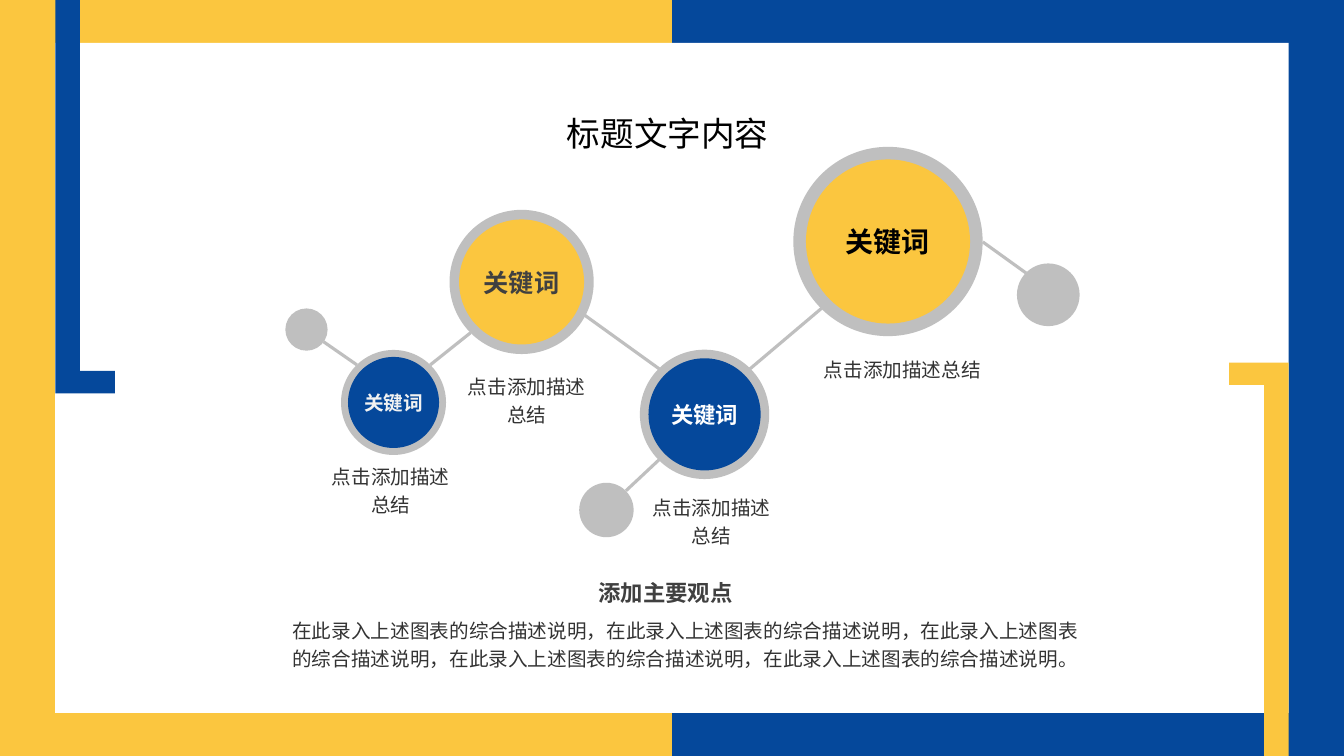
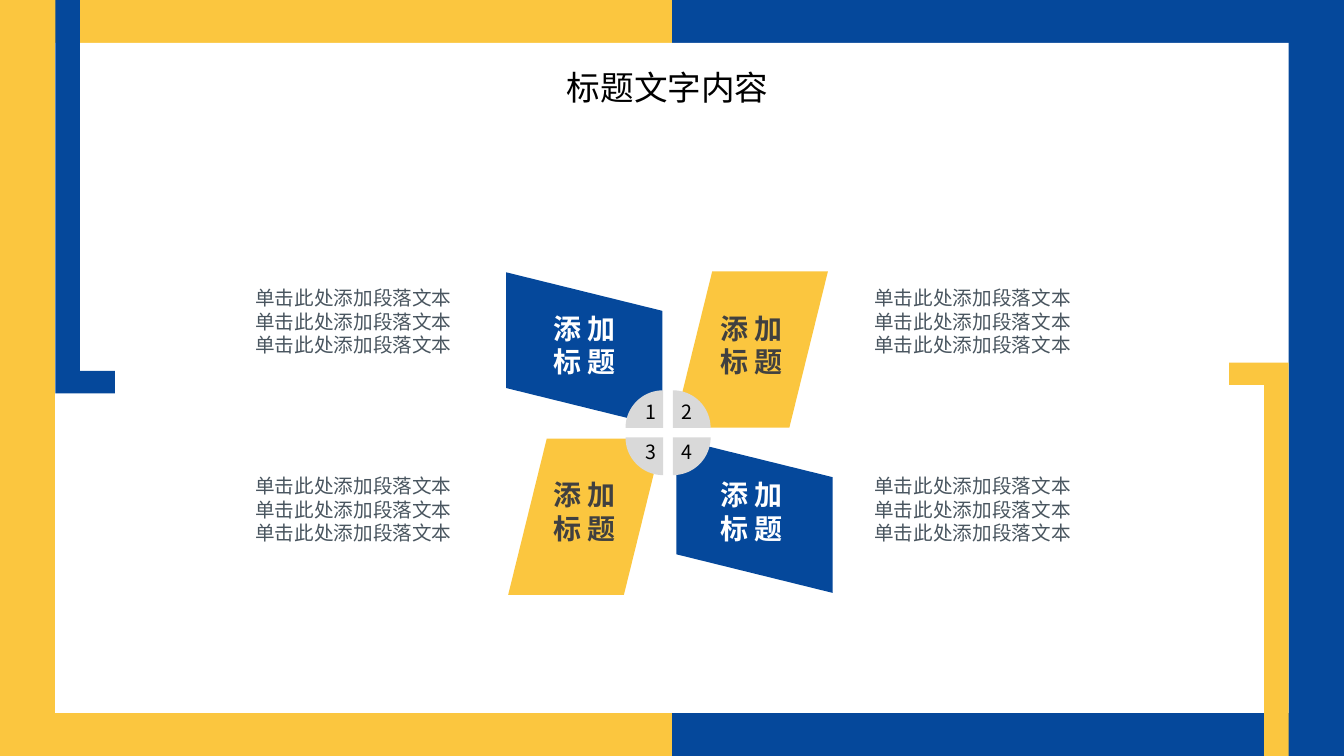
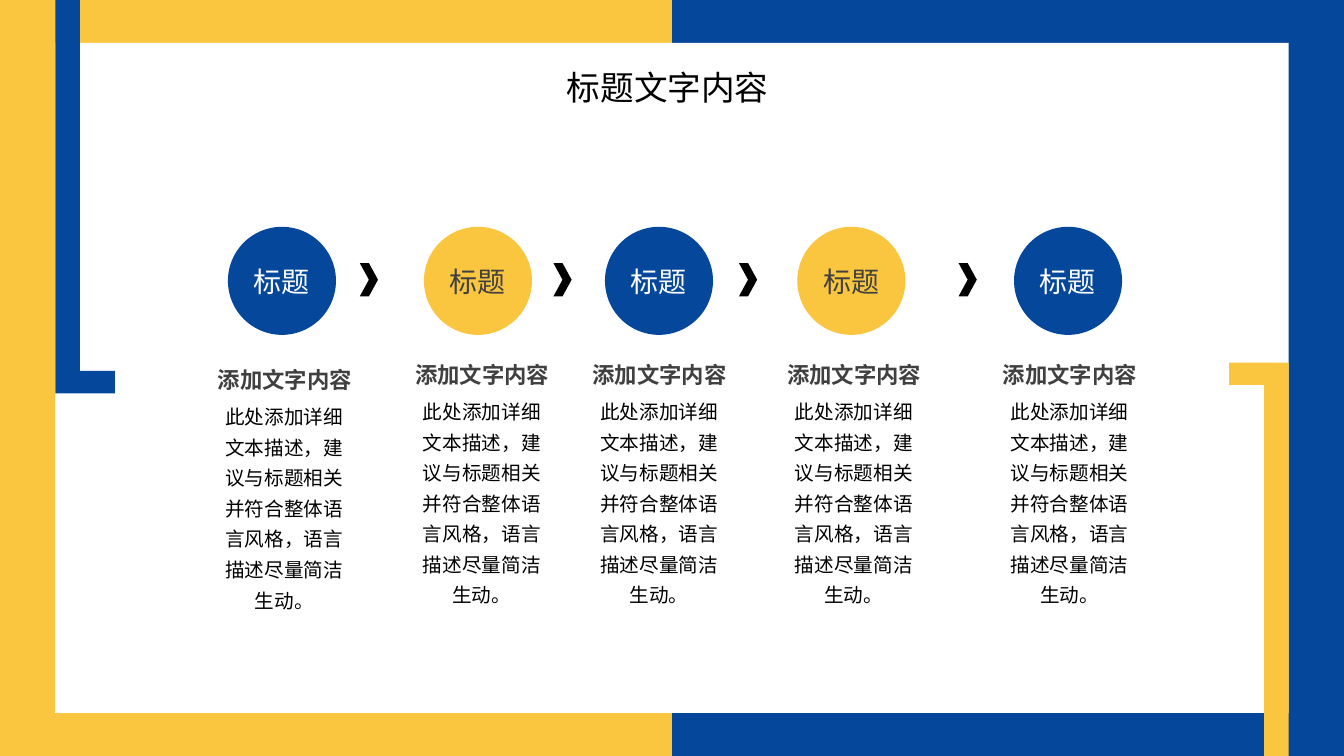
from math import cos, pi, sin

from lxml import etree
from pptx import Presentation
from pptx.dml.color import RGBColor
from pptx.enum.shapes import MSO_CONNECTOR, MSO_SHAPE
from pptx.enum.text import MSO_ANCHOR, PP_ALIGN
from pptx.oxml.ns import qn
from pptx.util import Pt

RECTANGLE = MSO_SHAPE.RECTANGLE
ELLIPSE = MSO_SHAPE.OVAL
PARALLELOGRAM = MSO_SHAPE.PARALLELOGRAM
CHEVRON = MSO_SHAPE.CHEVRON
STRAIGHT = MSO_CONNECTOR.STRAIGHT
CENTER = PP_ALIGN.CENTER
RIGHT = PP_ALIGN.RIGHT
MIDDLE = MSO_ANCHOR.MIDDLE
TOP = MSO_ANCHOR.TOP

BLUE = RGBColor(0x05, 0x48, 0x9B)
YELLOW = RGBColor(0xFB, 0xC6, 0x3F)
WHITE = RGBColor(0xFF, 0xFF, 0xFF)
OFF_WHITE = RGBColor(0xF2, 0xF2, 0xF2)
BLACK = RGBColor(0x00, 0x00, 0x00)
CHARCOAL = RGBColor(0x40, 0x40, 0x40)
BODY = RGBColor(0x33, 0x33, 0x33)
SLATE = RGBColor(0x49, 0x55, 0x5F)
GREY = RGBColor(0xBF, 0xBF, 0xBF)
PALE_GREY = RGBColor(0xD9, 0xD9, 0xD9)

CJK_FONT = "Noto Sans CJK SC"
LATIN_FONT = "Arial"
PAGE_WIDTH, PAGE_HEIGHT = 960, 540
RING_RATIO = 0.867
ARC_STEPS = 24

KEYWORD = "关键词"
NODE_CAPTION = "点击添加描述总结"
SUMMARY = "，".join(["在此录入上述图表的综合描述说明"] * 5) + "。"
STEP_BODY = "此处添加详细文本描述，建议与标题相关并符合整体语言风格，语言描述尽量简洁生动。"

NODES = [
    (81.1, 187.5, 75, BLUE, OFF_WHITE, 14),
    (172.6, 101.4, 103, YELLOW, CHARCOAL, 18),
    (303.3, 196, 92.4, BLUE, WHITE, 16),
    (434.3, 72.5, 135.2, YELLOW, BLACK, 20),
]
DOTS = [(18.9, 135.4, 30.2), (233.2, 264.3, 38.9), (548.8, 110.6, 44.8)]
LINKS = [
    (107.4, 160.6, 136.2, 137.6),
    (216.9, 124.6, 270.9, 163.5),
    (335.7, 163.5, 386.8, 120.3),
    (31.1, 144.1, 54.9, 160.6),
    (247.1, 250.6, 270.9, 228.3),
    (502, 72.8, 533, 95.1),
]
NODE_CAPTIONS = [(24.6, 225.4, 109), (121.8, 161.4, 109),
                 (257.2, 247.8, 102), (379.6, 149.1, 130)]

QUADRANTS = [
    (-1, -1, "1", BLUE, WHITE, -115, -115.3, 90),
    (1, -1, "2", YELLOW, CHARCOAL, 4, -115.3, 0),
    (-1, 1, "3", YELLOW, CHARCOAL, -114.2, 4.2, 180),
    (1, 1, "4", BLUE, WHITE, 6.7, 3.5, 90),
]

STEPS = [(15.8, 0.6, 95.8), (155.8, 141.7, 92.2), (285.1, 268.4, 92.2),
         (422.5, 407.4, 92.2), (577.3, 561.5, 92.2)]
CHEVRONS = [110, 248.3, 380.8, 537.7]


def paint(shape, fill):
    """Give a shape a plain fill without line or shadow."""
    shape.shadow.inherit = False
    shape.fill.solid()
    shape.fill.fore_color.rgb = fill
    shape.line.fill.background()


def add_block(slide, preset, left, top, width, height, fill):
    """Add a plain preset shape."""
    shape = slide.shapes.add_shape(preset, Pt(left), Pt(top), Pt(width), Pt(height))
    paint(shape, fill)
    return shape


def add_disc(slide, center_x, center_y, diameter, fill):
    """Add a circle around a centre."""
    return add_block(slide, ELLIPSE, center_x - diameter / 2,
                     center_y - diameter / 2, diameter, diameter, fill)


def add_outline(slide, points, fill):
    """Add a filled closed outline through the points."""
    start, *others = [(Pt(x), Pt(y)) for x, y in points]
    builder = slide.shapes.build_freeform(*start)
    builder.add_line_segments(others, close=True)
    paint(builder.convert_to_shape(), fill)


def write(shape, text, size, color, bold=False, align=CENTER, spacing=None,
          font=CJK_FONT, insets=(7.2, 3.6, 7.2, 3.6), anchor=TOP):
    """Fill a shape with text in one style."""
    frame = shape.text_frame
    frame.word_wrap = True
    frame.vertical_anchor = anchor
    (frame.margin_left, frame.margin_top,
     frame.margin_right, frame.margin_bottom) = map(Pt, insets)
    frame.text = text
    for para in frame.paragraphs:
        para.alignment = align
        if spacing:
            para.line_spacing = spacing
        for span in para.runs:
            span.font.size = Pt(size)
            span.font.bold = bold
            span.font.color.rgb = color
            span.font.name = font
            east_asian = etree.SubElement(span._r.get_or_add_rPr(), qn("a:ea"))
            east_asian.set("typeface", CJK_FONT)


def add_text(slide, left, top, width, height, text, size, color, **style):
    """Add a wrapping text box."""
    box = slide.shapes.add_textbox(Pt(left), Pt(top), Pt(width), Pt(height))
    write(box, text, size, color, **style)


def add_link(slide, start_x, start_y, end_x, end_y):
    """Add a grey straight line."""
    link = slide.shapes.add_connector(STRAIGHT, Pt(start_x), Pt(start_y),
                                      Pt(end_x), Pt(end_y))
    link.line.color.rgb = GREY
    link.line.width = Pt(2.25)
    etree.SubElement(link._element.spPr, qn("a:effectLst"))


def add_bracket(slide, corner_x, corner_y, side, fill):
    """Draw an L-shaped bracket from its corner, reaching to the given side."""
    profile = [(0, 0), (42.6, 0), (42.6, 16), (17.5, 16), (17.5, 281), (0, 281)]
    add_outline(slide, [(corner_x + side * x, corner_y - side * y)
                        for x, y in profile], fill)


def add_page(deck, title_top):
    """Add a blank slide with the two-colour frame and the title."""
    slide = deck.slides.add_slide(deck.slide_layouts[6])
    half = PAGE_WIDTH / 2
    add_block(slide, RECTANGLE, half, 0, half, PAGE_HEIGHT, BLUE)
    add_block(slide, RECTANGLE, 0, 0, half, PAGE_HEIGHT, YELLOW)
    add_block(slide, RECTANGLE, 39.5, 30.7, 881, 478.6, WHITE)
    add_bracket(slide, 39.5, 281, 1, BLUE)
    add_bracket(slide, 920.5, 259, -1, YELLOW)
    add_text(slide, 393.4, title_top, 167, 36, "标题文字内容", 24, BLACK)
    return slide


def add_network(slide, left, top):
    """Draw the linked keyword circles from the top left of their region."""
    for start_x, start_y, end_x, end_y in LINKS:
        add_link(slide, left + start_x, top + start_y, left + end_x, top + end_y)
    for x, y, diameter in DOTS:
        add_disc(slide, left + x, top + y, diameter, GREY)
    for x, y, diameter, fill, ink, size in NODES:
        add_disc(slide, left + x, top + y, diameter, GREY)
        disc = add_disc(slide, left + x, top + y, diameter * RING_RATIO, fill)
        write(disc, KEYWORD, size, ink, bold=True, insets=(0, 0, 0, 0), anchor=MIDDLE)
    for x, y, width in NODE_CAPTIONS:
        add_text(slide, left + x, top + y, width, 46, NODE_CAPTION, 14, BODY,
                 spacing=1.2, insets=(6.5, 3, 6.5, 3))


def add_summary(slide, left, top, width):
    """Write the main point and its description."""
    add_text(slide, left + 181.7, top, 183, 26.6, "添加主要观点", 16, CHARCOAL, bold=True)
    add_text(slide, left, top + 25.2, width, 46, SUMMARY, 14, BODY,
             spacing=1.2, insets=(5, 3, 5, 3))


def add_quarter(slide, corner_x, corner_y, radius, side, level):
    """Draw a quarter disc that opens away from its corner."""
    angles = [step * pi / 2 / ARC_STEPS for step in range(ARC_STEPS + 1)]
    arc = [(corner_x + side * radius * cos(angle),
            corner_y + level * radius * sin(angle)) for angle in angles]
    add_outline(slide, [(corner_x, corner_y), *arc], PALE_GREY)


def add_quadrant(slide, center_x, center_y, side, level, number, fill, ink,
                 block_x, block_y, rotation):
    """Draw one blade, its number, label and description around the hub."""
    blade = add_block(slide, PARALLELOGRAM, center_x + block_x, center_y + block_y,
                      110.2, 111.6, fill)
    blade.rotation = rotation
    add_quarter(slide, center_x + side * 3.5, center_y + level * 3.4, 26.9, side, level)
    add_text(slide, center_x - 4.7 + side * 13, center_y - 9.2 + level * 14,
             9.4, 17, number, 14, BLACK, align=RIGHT, insets=(0, 0, 0, 0))
    add_text(slide, center_x - 35 + side * 59.5, center_y - 30.8 + level * 59.4,
             70, 52, "添 加\n标 题", 20, ink, bold=True, insets=(0, 3.6, 0, 0))
    add_text(slide, center_x - 81.9 + side * 221.1, center_y - 41.1 + level * 67,
             155.6, 58, "单击此处添加段落文本" * 3, 14, SLATE, align=RIGHT)


def add_process(slide, left, top):
    """Draw the row of steps with chevrons between them."""
    for index, (disc_x, text_x, text_y) in enumerate(STEPS):
        fill, ink = ((BLUE, WHITE), (YELLOW, CHARCOAL))[index % 2]
        disc = add_block(slide, ELLIPSE, left + disc_x, top, 77.2, 77.2, fill)
        write(disc, "标题", 20, ink, font=LATIN_FONT, insets=(0, 0, 0, 0), anchor=MIDDLE)
        add_text(slide, left + text_x, top + text_y, 111.6, 26.6, "添加文字内容", 16,
                 CHARCOAL, bold=True, font=LATIN_FONT)
        add_text(slide, left + text_x, top + text_y + 23, 111, 160, STEP_BODY, 14,
                 BLACK, spacing=1.3, font=LATIN_FONT)
    for x in CHEVRONS:
        add_block(slide, CHEVRON, left + x, top + 25.9, 13, 23.8, BLACK)


def main():
    """Build and save the three slides."""
    deck = Presentation()
    deck.slide_width, deck.slide_height = Pt(PAGE_WIDTH), Pt(PAGE_HEIGHT)

    network_page = add_page(deck, 77)
    add_network(network_page, 200, 100)
    add_summary(network_page, 202.3, 410.4, 574.6)

    hub_page = add_page(deck, 44.6)
    for quadrant in QUADRANTS:
        add_quadrant(hub_page, 477.2, 309.1, *quadrant)

    process_page = add_page(deck, 44.6)
    add_process(process_page, 147, 162)

    deck.save("out.pptx")


if __name__ == "__main__":
    main()
